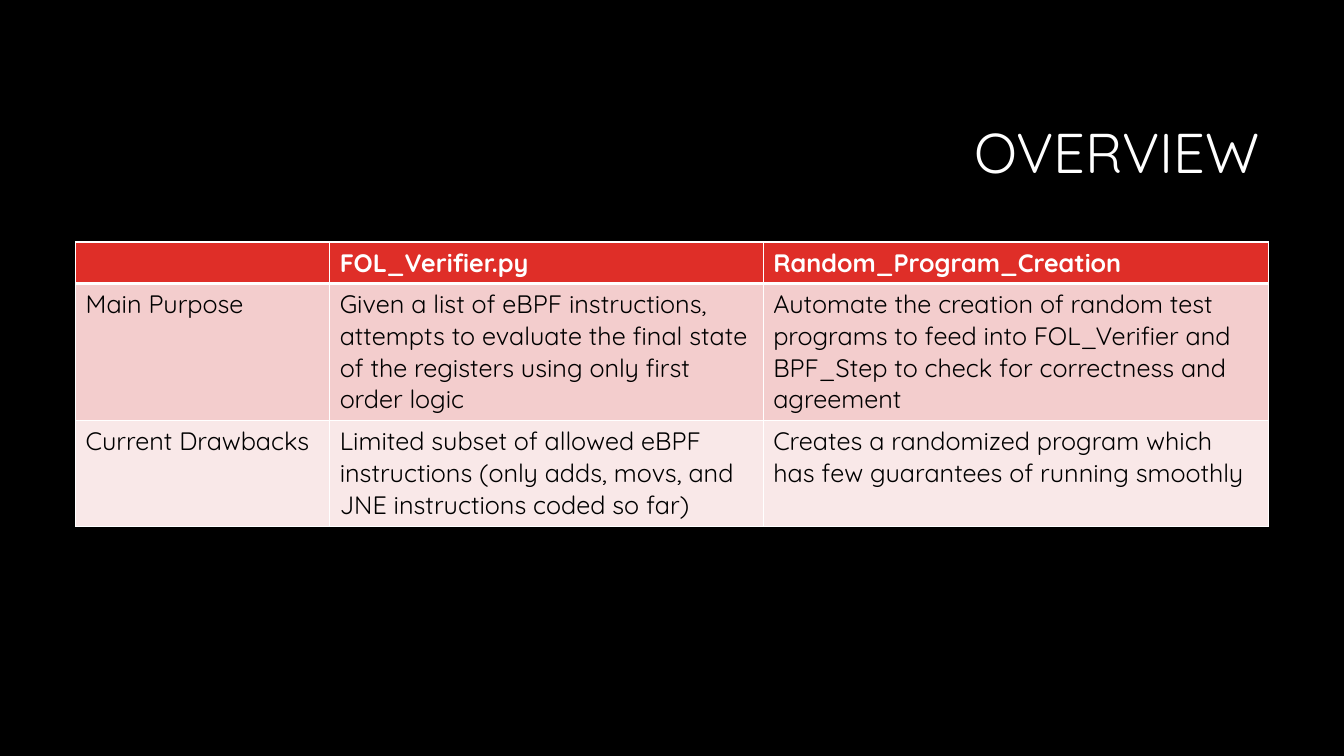
import dataclasses

import pptx
import pptx.dml.color
import pptx.enum.text
import pptx.oxml
import pptx.oxml.ns
import pptx.util

PX = 9144  # EMU per px, at 100 px to the inch


@dataclasses.dataclass(frozen=True)
class Theme:
    font: str = "Quicksand"
    background: str = "000000"
    light: str = "FFFFFF"
    dark: str = "000000"
    header: str = "DF2E28"
    purpose: str = "F3CDCD"
    drawbacks: str = "F9E8E8"
    title_size: int = 40
    body_size: int = 18


@dataclasses.dataclass(frozen=True)
class Row:
    height: int
    fill: str
    color: str
    bold: bool
    texts: tuple[str, ...]
    top: int = 1
    bottom: int = 1


THEME = Theme()
COLUMNS = (252, 430, 501)
ROWS = (
    Row(41, THEME.header, THEME.light, True,
        ("", "FOL_Verifier.py", "Random_Program_Creation"), bottom=3),
    Row(136, THEME.purpose, THEME.dark, False,
        ("Main Purpose",
         "Given a list of eBPF instructions, attempts to evaluate the final "
         "state of the registers using only first order logic",
         "Automate the creation of random test programs to feed into "
         "FOL_Verifier and BPF_Step to check for correctness and agreement"),
        top=3),
    Row(105, THEME.drawbacks, THEME.dark, False,
        ("Current Drawbacks",
         "Limited subset of allowed eBPF instructions (only adds, movs, and "
         "JNE instructions coded so far)",
         "Creates a randomized program which has few guarantees of running "
         "smoothly")),
)


def rgb(value: str) -> pptx.dml.color.RGBColor:
    return pptx.dml.color.RGBColor.from_string(value)


def px(value: int) -> pptx.util.Emu:
    return pptx.util.Emu(value * PX)


def set_all(target, values: dict) -> None:
    for name, value in values.items():
        setattr(target, name, value)


def add_run(p, text: str, size: int, color: str, bold: bool = False) -> None:
    r = p.add_run()
    r.text = text
    set_all(r.font, {"name": THEME.font, "size": pptx.util.Pt(size), "bold": bold})
    r.font.color.rgb = rgb(color)


def set_borders(cell, widths: dict[str, int]) -> None:
    """Draw cell borders; the lines must precede the fill in tcPr."""
    tc_pr = cell._tc.get_or_add_tcPr()
    for i, (side, width) in enumerate(widths.items()):
        tc_pr.insert(i, pptx.oxml.parse_xml(
            f'<a:ln{side} {pptx.oxml.ns.nsdecls("a")} w="{pptx.util.Pt(width)}">'
            f'<a:solidFill><a:srgbClr val="{THEME.light}"/></a:solidFill>'
            f'</a:ln{side}>'))


def add_title(slide, text: str) -> None:
    sp = slide.shapes.title
    set_all(sp, {"left": px(317), "top": px(84), "width": px(942), "height": px(141)})
    tf = sp.text_frame
    set_all(tf, {"word_wrap": True,
                 "vertical_anchor": pptx.enum.text.MSO_ANCHOR.MIDDLE})
    p = tf.paragraphs[0]
    set_all(p, {"alignment": pptx.enum.text.PP_ALIGN.RIGHT, "line_spacing": 0.9})
    add_run(p, text, THEME.title_size, THEME.light)


def add_overview_table(slide) -> None:
    height = sum(row.height for row in ROWS)
    table = slide.shapes.add_table(len(ROWS), len(COLUMNS), px(75), px(240),
                                   px(sum(COLUMNS)), px(height)).table
    for column, width in zip(table.columns, COLUMNS):
        column.width = px(width)
    for table_row, row in zip(table.rows, ROWS):
        table_row.height = px(row.height)
        for cell, text in zip(table_row.cells, row.texts):
            cell.fill.solid()
            cell.fill.fore_color.rgb = rgb(row.fill)
            set_borders(cell, {"L": 1, "R": 1, "T": row.top, "B": row.bottom})
            if text:
                add_run(cell.text_frame.paragraphs[0], text,
                        THEME.body_size, row.color, row.bold)


def main() -> None:
    prs = pptx.Presentation()
    set_all(prs, {"slide_width": px(1333), "slide_height": px(750)})
    slide = prs.slides.add_slide(prs.slide_layouts.get_by_name("Title Only"))
    slide.background.fill.solid()
    slide.background.fill.fore_color.rgb = rgb(THEME.background)
    add_title(slide, "OVERVIEW")
    add_overview_table(slide)
    prs.save("out.pptx")


if __name__ == "__main__":
    main()
